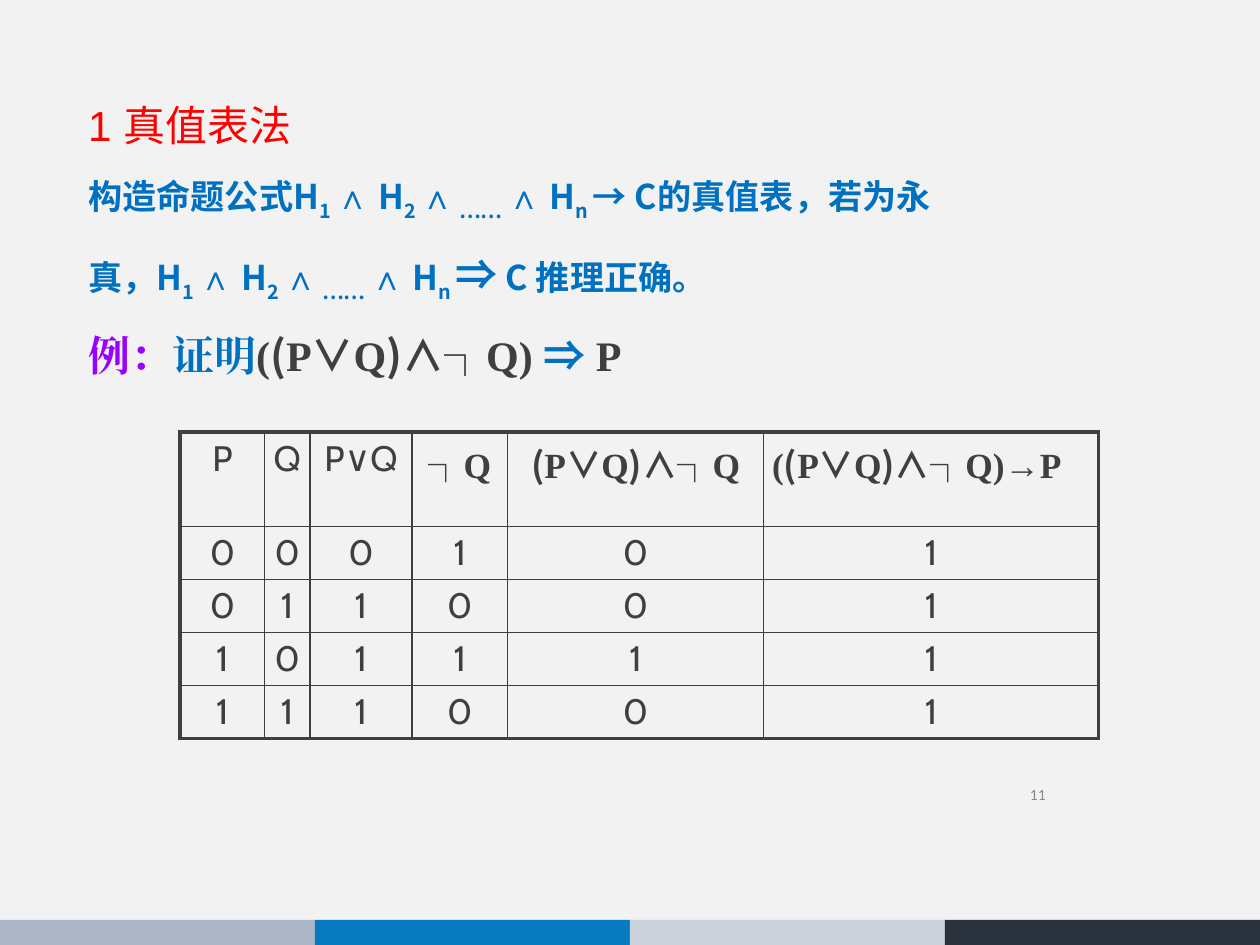
from dataclasses import dataclass
from typing import NamedTuple

from lxml import etree
from pptx import Presentation
from pptx.dml.color import RGBColor
from pptx.enum.shapes import MSO_SHAPE
from pptx.enum.text import MSO_ANCHOR, MSO_AUTO_SIZE, PP_ALIGN
from pptx.oxml.ns import qn
from pptx.util import Inches, Pt

LEFT, CENTER, RIGHT, JUSTIFY = PP_ALIGN.LEFT, PP_ALIGN.CENTER, PP_ALIGN.RIGHT, PP_ALIGN.JUSTIFY
RECTANGLE = MSO_SHAPE.RECTANGLE
TOP, MIDDLE = MSO_ANCHOR.TOP, MSO_ANCHOR.MIDDLE
NO_AUTOFIT = MSO_AUTO_SIZE.NONE


@dataclass(frozen=True)
class Theme:
    background: str = "F2F2F2"
    strips: tuple = ("ADB6C7", "087AC0", "CBD1DB", "2A323E")
    heading: str = "FF0000"
    statement: str = "0070C0"
    example: str = "9900FF"
    ink: str = "3D3F41"
    page: str = "898989"
    heading_size: float = 24
    statement_size: float = 19.5
    table_size: float = 20.2
    page_size: float = 9
    sans: str = "Arial"
    cjk: str = "Noto Sans CJK SC"
    serif: str = "Times New Roman"
    digits: str = "Cabin"
    page_font: str = "Calibri"
    thin: float = 1
    thick: float = 2.25


THEME = Theme()


class Run(NamedTuple):
    text: str
    font: str
    size: float
    color: str
    bold: bool = True
    baseline: int = 0


class Line(NamedTuple):
    runs: list[Run]
    align: PP_ALIGN
    spacing: float
    indent: float


def statement(text: str, font: str = THEME.cjk, baseline: int = 0) -> Run:
    return Run(text, font, THEME.statement_size, THEME.statement, baseline=baseline)


def subscript(text: str) -> Run:
    return statement(text, baseline=-25)


def premises() -> list[Run]:
    """H1 ∧ H2 ∧ …… ∧ Hn"""
    return [
        statement("H"), subscript("1 "), statement("∧ ", THEME.serif),
        statement("H"), subscript("2 "), statement("∧", THEME.serif),
        subscript(" …… "), statement("∧ ", THEME.serif),
        statement("H"), subscript("n "),
    ]


def formula(size: float, ending: str, opening: str = "") -> list[Run]:
    """(P∨Q)∧┐Q with optional text around it"""
    parts = [(opening, THEME.serif), ("(", THEME.cjk), ("P", THEME.serif), ("∨", THEME.cjk),
             ("Q", THEME.serif), (")∧┐", THEME.cjk), (ending, THEME.serif)]
    return [Run(text, font, size, THEME.ink) for text, font in parts if text]


def plain_cell(text: str) -> list[Run]:
    return [Run(text, THEME.digits, THEME.table_size, THEME.ink, False)]


BIG = THEME.heading_size
BODY = [
    Line([Run("1 真值表法", THEME.sans, BIG, THEME.heading, False)], LEFT, 1.3, 0),
    Line([statement("构造命题公式"), *premises(), statement("→ C的真值表，若为永")],
         JUSTIFY, 1.1, 0.62),
    Line([statement("真，"), *premises(), Run("⇒", THEME.cjk, BIG, THEME.statement),
          statement(" C 推理正确。")], JUSTIFY, 1.1, 0.62),
    Line([Run("例：", THEME.serif, BIG, THEME.example),
          Run("证明", THEME.serif, BIG, THEME.statement),
          *formula(BIG, "Q) ", "("),
          Run("⇒", THEME.cjk, BIG, THEME.statement),
          Run(" P", THEME.serif, BIG, THEME.ink)], JUSTIFY, 1.1, 0.62),
]

HEADERS = [
    plain_cell("P"), plain_cell("Q"), plain_cell("P∨Q"),
    [Run("┐", THEME.cjk, THEME.table_size, THEME.ink),
     Run("Q", THEME.serif, THEME.table_size, THEME.ink)],
    formula(THEME.table_size, "Q"),
    formula(THEME.table_size, "Q)→P", "("),
]
TRUTH_VALUES = ["000101", "011001", "101111", "111001"]
COLUMN_WIDTHS = [0.67, 0.36, 0.81, 0.76, 2.03, 2.66]
ROW_HEIGHTS = [0.75] + [0.41] * len(TRUTH_VALUES)


def write_runs(paragraph, runs: list[Run], align: PP_ALIGN) -> None:
    paragraph.alignment = align
    for item in runs:
        run = paragraph.add_run()
        run.text = item.text
        formats = {"name": item.font, "size": Pt(item.size), "bold": item.bold}
        for attribute, value in formats.items():
            setattr(run.font, attribute, value)
        run.font.color.rgb = RGBColor.from_string(item.color)
        properties = run.font._element
        if item.baseline:
            properties.set("baseline", str(item.baseline * 1000))
        etree.SubElement(properties, qn("a:ea"), typeface=item.font)


def format_frame(frame, anchor: MSO_ANCHOR) -> None:
    formats = {"word_wrap": True, "auto_size": NO_AUTOFIT, "vertical_anchor": anchor,
               "margin_left": Inches(0.07), "margin_right": Inches(0.07),
               "margin_top": Inches(0.04), "margin_bottom": Inches(0.04)}
    for attribute, value in formats.items():
        setattr(frame, attribute, value)


def fill_body(body) -> None:
    placement = {"left": 0.63, "top": 0.63, "width": 8.77, "height": 5.9}
    for attribute, value in placement.items():
        setattr(body, attribute, Inches(value))
    frame = body.text_frame
    format_frame(frame, TOP)
    for number, line in enumerate(BODY):
        paragraph = frame.add_paragraph() if number else frame.paragraphs[0]
        write_runs(paragraph, line.runs, line.align)
        paragraph.line_spacing = line.spacing
        paragraph.space_before = Pt(12)
        properties = paragraph._p.get_or_add_pPr()
        properties.set("marL", str(Inches(line.indent)))
        properties.set("indent", str(-Inches(line.indent)))
        etree.SubElement(properties, qn("a:buNone"))


def add_border(cell, side: str, width: float) -> None:
    border = etree.SubElement(cell._tc.get_or_add_tcPr(), qn(f"a:ln{side}"), w=str(Pt(width)))
    fill = etree.SubElement(border, qn("a:solidFill"))
    etree.SubElement(fill, qn("a:srgbClr"), val=THEME.ink)


def add_truth_table(slide) -> None:
    rows = [HEADERS] + [[plain_cell(value) for value in values] for values in TRUTH_VALUES]
    last_row, last_column = len(rows) - 1, len(HEADERS) - 1
    table = slide.shapes.add_table(
        len(rows), len(HEADERS), Inches(1.43), Inches(3.43),
        Inches(sum(COLUMN_WIDTHS)), Inches(sum(ROW_HEIGHTS))).table
    table.first_row = table.horz_banding = False
    for column, width in zip(table.columns, COLUMN_WIDTHS):
        column.width = Inches(width)
    for row, height in zip(table.rows, ROW_HEIGHTS):
        row.height = Inches(height)
    for r, contents in enumerate(rows):
        for c, runs in enumerate(contents):
            cell = table.cell(r, c)
            outer = {"L": c == 0, "R": c == last_column, "T": r == 0, "B": r == last_row}
            for side, is_outer in outer.items():
                add_border(cell, side, THEME.thick if is_outer else THEME.thin)
            cell.fill.background()
            cell.margin_left = cell.margin_right = Inches(0.07)
            cell.margin_top = cell.margin_bottom = Inches(0.04)
            align = LEFT if r == 0 and c == last_column else CENTER
            write_runs(cell.text_frame.paragraphs[0], runs, align)


def add_footer(slide) -> None:
    for number, color in enumerate(THEME.strips):
        strip = slide.shapes.add_shape(
            RECTANGLE, Inches(2.5 * number), Inches(7.3), Inches(2.5), Inches(0.2))
        strip.shadow.inherit = False
        strip.fill.solid()
        strip.fill.fore_color.rgb = RGBColor.from_string(color)
        strip.line.fill.background()
    page = slide.shapes.add_textbox(Inches(6.62), Inches(6.15), Inches(1.75), Inches(0.3))
    format_frame(page.text_frame, MIDDLE)
    write_runs(page.text_frame.paragraphs[0],
               [Run("11", THEME.page_font, THEME.page_size, THEME.page, False)], RIGHT)


def main() -> None:
    deck = Presentation()
    deck.slide_width, deck.slide_height = Inches(10), Inches(7.5)
    # Title and Content layout: only the body is used here
    slide = deck.slides.add_slide(deck.slide_layouts[1])
    title = slide.shapes.title._element
    title.getparent().remove(title)
    slide.background.fill.solid()
    slide.background.fill.fore_color.rgb = RGBColor.from_string(THEME.background)

    # Colour strips and page number
    add_footer(slide)
    # Method and example
    fill_body(slide.placeholders[1])
    # Truth table
    add_truth_table(slide)
    deck.save("out.pptx")


if __name__ == "__main__":
    main()
